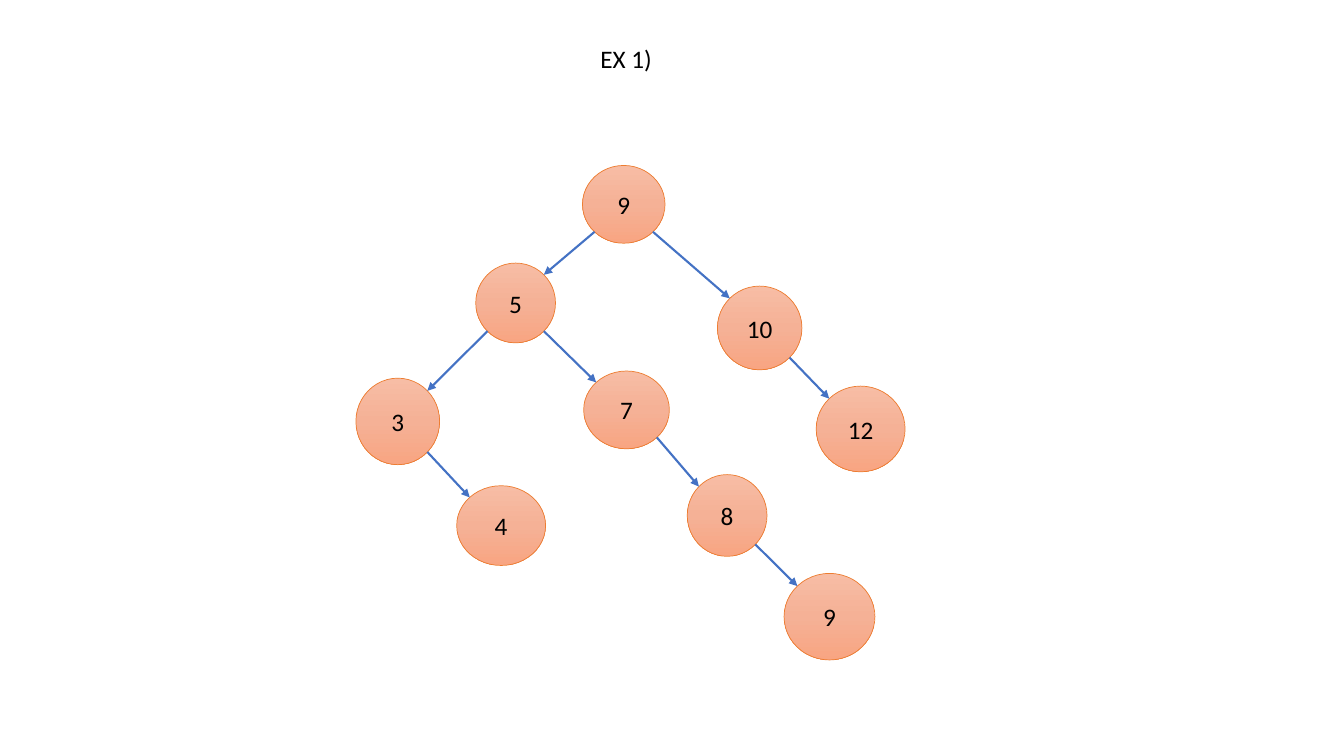
"""Build a slide with a binary search tree drawn as circles and arrows."""
from copy import deepcopy
from math import sqrt

from lxml import etree
from pptx import Presentation
from pptx import util as u
from pptx.dml.color import RGBColor
from pptx.enum import shapes, text
from pptx.oxml.ns import qn

HEADING = ("EX 1)", (14.88, 0.97, 1.98, 1.02))
NODES = {
    "root": ("9", (14.68, 4.17, 2.08, 1.96)),
    "five": ("5", (11.99, 6.63, 2.01, 2.01)),
    "three": ("3", (8.97, 9.53, 2.11, 2.18)),
    "seven": ("7", (14.71, 9.35, 2.16, 1.96)),
    "four": ("4", (11.51, 12.24, 2.24, 2.01)),
    "ten": ("10", (18.08, 7.21, 2.13, 2.11)),
    "eight": ("8", (17.32, 11.96, 2.01, 2.06)),
    "leaf nine": ("9", (19.76, 14.45, 2.29, 2.18)),
    "twelve": ("12", (20.57, 9.73, 2.24, 2.16)),
}
EDGES = [
    ("root", "five"), ("root", "ten"),
    ("five", "three"), ("five", "seven"),
    ("three", "four"), ("seven", "eight"),
    ("eight", "leaf nine"), ("ten", "twelve"),
]
FONT = "Calibri"
BLACK = RGBColor(0x00, 0x00, 0x00)
ORANGE = RGBColor(0xED, 0x7D, 0x31)
BLUE = RGBColor(0x44, 0x72, 0xC4)
PEACH_STOPS = [
    (0, RGBColor(0xF7, 0xBD, 0xA5)),
    (0.5, RGBColor(0xF5, 0xB1, 0x96)),
    (1, RGBColor(0xF8, 0xA5, 0x82)),
]
SITES = {(-1, -1): 1, (-1, 1): 3, (1, 1): 5, (1, -1): 7}


def write(frame, words):
    run = frame.paragraphs[0].add_run()
    run.text = words
    run.font.name, run.font.size = FONT, u.Pt(18)
    run.font.color.rgb = BLACK


def fill_peach(circle):
    circle.fill.gradient()
    circle.fill.gradient_angle = 270
    stop_list = circle.element.spPr.find(".//" + qn("a:gsLst"))
    stop_list.append(deepcopy(stop_list[0]))
    for stop, (position, color) in zip(circle.fill.gradient_stops, PEACH_STOPS):
        stop.position, stop.color.rgb = position, color


def add_node(slide, label, box):
    circle = slide.shapes.add_shape(
        shapes.MSO_SHAPE.FLOWCHART_CONNECTOR, *map(u.Cm, box))
    circle.shadow.inherit = False
    fill_peach(circle)
    circle.line.color.rgb, circle.line.width = ORANGE, u.Pt(0.5)
    circle.text_frame.vertical_anchor = text.MSO_ANCHOR.MIDDLE
    circle.text_frame.paragraphs[0].alignment = text.PP_ALIGN.CENTER
    write(circle.text_frame, label)
    return circle


def center_x(circle):
    return circle.left + circle.width / 2


def diagonal_point(circle, across, down):
    reach = sqrt(0.5) / 2
    return (round(center_x(circle) + across * reach * circle.width),
            round(circle.top + circle.height * (0.5 + down * reach)))


def add_edge(slide, parent, child):
    side = 1 if center_x(child) > center_x(parent) else -1
    ends = [("a:stCxn", parent, (side, 1)), ("a:endCxn", child, (-side, -1))]
    points = [diagonal_point(circle, *corner) for _, circle, corner in ends]
    arrow = slide.shapes.add_connector(
        shapes.MSO_CONNECTOR.STRAIGHT, *points[0], *points[1])
    arrow.line.color.rgb, arrow.line.width = BLUE, u.Pt(1.5)
    etree.SubElement(arrow.line._get_or_add_ln(), qn("a:tailEnd"), type="triangle")
    etree.SubElement(arrow.element.spPr, qn("a:effectLst"))
    glue = arrow.element.find(".//" + qn("p:cNvCxnSpPr"))
    for tag, circle, corner in ends:
        etree.SubElement(glue, qn(tag), id=str(circle.shape_id),
                         idx=str(SITES[corner]))


def add_heading(slide, words, box):
    heading = slide.shapes.add_textbox(*map(u.Cm, box))
    heading.text_frame.word_wrap = False
    heading.text_frame.auto_size = text.MSO_AUTO_SIZE.SHAPE_TO_FIT_TEXT
    write(heading.text_frame, words)


def main():
    deck = Presentation()
    deck.slide_width, deck.slide_height = u.Cm(33.87), u.Cm(19.05)
    slide = deck.slides.add_slide(deck.slide_layouts[6])
    circles = {name: add_node(slide, *node) for name, node in NODES.items()}
    for parent, child in EDGES:
        add_edge(slide, circles[parent], circles[child])
    add_heading(slide, *HEADING)
    deck.save("out.pptx")


if __name__ == "__main__":
    main()
